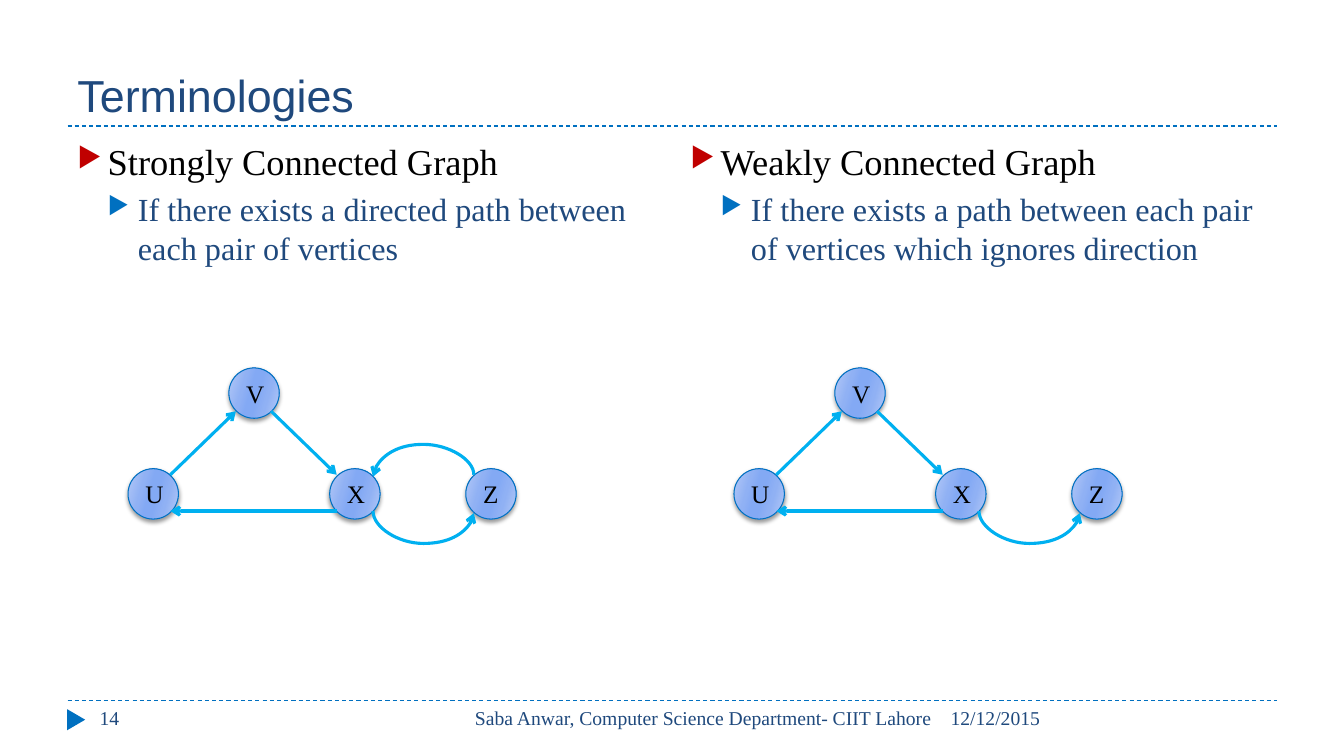
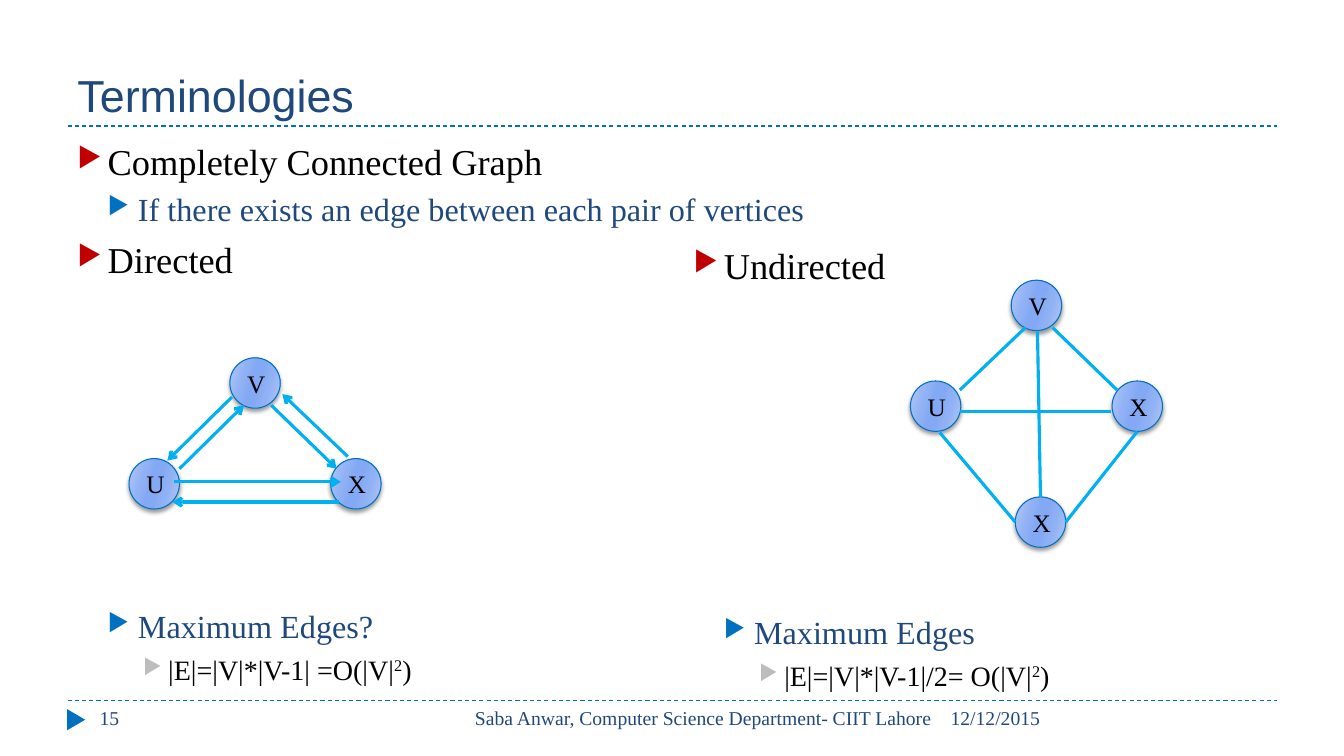
"""Two lecture slides on connected graphs, drawn with nodes and edges."""
from lxml.etree import SubElement
from pptx import Presentation
from pptx.dml.color import RGBColor
from pptx.enum.dml import MSO_LINE
from pptx.enum.shapes import MSO_CONNECTOR, MSO_SHAPE
from pptx.enum.text import MSO_ANCHOR, PP_ALIGN
from pptx.oxml.ns import qn
from pptx.util import Inches, Pt

NAVY = RGBColor(0x1F, 0x49, 0x7D)
BLUE = RGBColor(0x00, 0x70, 0xC0)
SKY = RGBColor(0x00, 0xB0, 0xF0)
RED = RGBColor(0xC0, 0x00, 0x00)
GRAY = RGBColor(0xBD, 0xBD, 0xBD)
BLACK = RGBColor(0, 0, 0)
SHINE = [(0, "B4C9F6"), (30, "90B1F4"), (45, "83A9F4"),
         (55, "83A9F4"), (73, "90B1F4"), (100, "B4C9F6")]
SERIF, SANS = "Times New Roman", "Arial"

LEVELS = [
    dict(size=26, color=BLACK, mark=RED, left=0.3, hang=0.3, before=6),
    dict(size=23, color=NAVY, mark=BLUE, left=0.6, hang=0.3, before=5),
    dict(size=20, color=BLACK, mark=GRAY, left=0.9, hang=0.25, before=5),
]

BASE = [("X", 2, 1), ("U", 0, 1), ("V", 1, 0)]
LOOP = [((0.42, 1.06), (1.07, 0.43)), ((2.07, 1.42), (0.42, 1.42)),
        ((1.42, 0.43), (2.07, 1.06))]
PAIRS = [((0.5, 1.1), (1.14, 0.47)), ((2.08, 1.43), (0.43, 1.43)),
         ((1.41, 0.47), (2.06, 1.1)), ((0.45, 1.23), (2.1, 1.23)),
         ((2.17, 0.98), (1.52, 0.36)), ((1.02, 0.39), (0.38, 1.02))]
MESH = [((1.14, 0.47), (0.49, 1.09)), ((1.99, 1.3), (0.49, 1.3)),
        ((1.41, 0.47), (2.05, 1.09)), ((1.04, 2.4), (0.29, 1.51)),
        ((1.54, 2.4), (2.25, 1.5)), ((1.29, 2.15), (1.26, 0.51))]
DOWN, UP = (2.43, 1.43, False), (2.43, 1.07, True)
TAIL = BASE + [("Z", 3.35, 1)]

SLIDES = [
    dict(number="14",
         bodies=[
             ((0.67, 1.33, 5.89, 5.4), [
                 (0, "Strongly Connected Graph"),
                 (1, "If there exists a directed path between each pair of vertices")]),
             ((6.75, 1.33, 5.89, 5.4), [
                 (0, "Weakly Connected Graph"),
                 (1, "If there exists a path between each pair of vertices "
                     "which ignores direction")])],
         graphs=[
             dict(at=(1.27, 3.65), nodes=TAIL, edges=LOOP, arcs=[DOWN, UP]),
             dict(at=(7.28, 3.65), nodes=TAIL, edges=LOOP, arcs=[DOWN])]),
    dict(number="15",
         bodies=[
             ((0.67, 1.33, 12, 1.6), [
                 (0, "Completely Connected Graph"),
                 (1, "If there exists an edge between each pair of vertices"),
                 (0, "Directed")]),
             ((0.67, 5.97, 5.89, 0.9), [
                 (1, "Maximum Edges?"), (2, "|E|=|V|*|V-1| =O(|V|^2^)")]),
             ((6.78, 2.36, 5.89, 0.6), [(0, "Undirected")]),
             ((6.78, 6.03, 5.89, 0.9), [
                 (1, "Maximum Edges"), (2, "|E|=|V|*|V-1|/2= O(|V|^2^)")])],
         graphs=[
             dict(at=(1.28, 3.55), nodes=BASE, edges=PAIRS),
             dict(at=(9.03, 2.78), nodes=BASE + [("X", 1.04, 2.15)],
                  edges=MESH, arrow=False)]),
]


def write(para, text, size=14, color=NAVY, font=SERIF, align=PP_ALIGN.LEFT,
          mark=None, left=0, hang=0, before=0):
    para.alignment = align
    para.space_before = Pt(before)
    if mark is not None:
        props = para._p.get_or_add_pPr()
        props.set("marL", str(Inches(left)))
        props.set("indent", str(-Inches(hang)))
        tint = SubElement(props, qn("a:buClr"))
        SubElement(tint, qn("a:srgbClr"), val=str(mark))
        SubElement(props, qn("a:buSzPct"), val="76000")
        SubElement(props, qn("a:buChar"), char="▶")
    for turn, part in enumerate(text.split("^")):
        run = para.add_run()
        run.text = part
        run.font.size = Pt(size)
        run.font.name = font
        run.font.color.rgb = color
        if turn % 2:
            run._r.get_or_add_rPr().set("baseline", "30000")


def box(slide, place, anchor=MSO_ANCHOR.TOP):
    frame = slide.shapes.add_textbox(*map(Inches, place)).text_frame
    frame.word_wrap = True
    frame.vertical_anchor = anchor
    return frame


def label(slide, place, text, anchor=MSO_ANCHOR.TOP, **style):
    write(box(slide, place, anchor).paragraphs[0], text, **style)


def body(slide, place, items):
    frame = box(slide, place)
    for index, (level, text) in enumerate(items):
        para = frame.add_paragraph() if index else frame.paragraphs[0]
        style = LEVELS[level] if index else {**LEVELS[level], "before": 0}
        write(para, text, **style)


def link(slide, start, end, color=SKY, width=2.25, kind=MSO_CONNECTOR.STRAIGHT, tip=None):
    line = slide.shapes.add_connector(kind, *map(Inches, (*start, *end)))
    line.line.color.rgb = color
    line.line.width = Pt(width)
    if tip:
        SubElement(line.line._get_or_add_ln(), qn(tip), type="arrow")
    SubElement(line._element.spPr, qn("a:effectLst"))
    return line


def arc(slide, x, y, up):
    mid, lean = x + 0.5, 0.5 if up else -0.5
    line = link(slide, (mid + 0.01, y + lean), (mid - 0.01, y - lean),
                kind=MSO_CONNECTOR.CURVE, tip="a:headEnd" if up else "a:tailEnd")
    shape = line._element.spPr
    shape.find(qn("a:xfrm")).set("rot", str((90 if up else 270) * 60000))
    guides = shape.find(qn("a:prstGeom")).find(qn("a:avLst"))
    SubElement(guides, qn("a:gd"), name="adj1", fmla="val 1600000")


def node(slide, name, x, y):
    disc = slide.shapes.add_shape(MSO_SHAPE.OVAL, *map(Inches, (x, y, 0.5, 0.5)))
    disc.fill.gradient()
    disc.fill.gradient_angle = 344
    stops = disc._element.spPr.find(".//" + qn("a:gsLst"))
    stops.clear()
    for spot, tone in SHINE:
        stop = SubElement(stops, qn("a:gs"), pos=str(spot * 1000))
        SubElement(stop, qn("a:srgbClr"), val=tone)
    disc.line.color.rgb = BLUE
    disc.line.width = Pt(0.75)
    disc.shadow.inherit = False
    glow = SubElement(disc._element.spPr.find(qn("a:effectLst")), qn("a:outerShdw"),
                      blurRad=str(Pt(3)), dist=str(Pt(2)), dir="5400000", rotWithShape="0")
    shade = SubElement(glow, qn("a:srgbClr"), val=str(BLACK))
    SubElement(shade, qn("a:alpha"), val="40000")
    frame = disc.text_frame
    frame.word_wrap = False
    frame.vertical_anchor = MSO_ANCHOR.MIDDLE
    write(frame.paragraphs[0], name, size=18, color=BLACK)


def graph(slide, at, nodes, edges, arcs=(), arrow=True):
    left, top = at
    for name, x, y in nodes:
        node(slide, name, left + x, top + y)
    for (ax, ay), (bx, by) in edges:
        link(slide, (left + ax, top + ay), (left + bx, top + by),
             tip="a:tailEnd" if arrow else None)
    for x, y, up in arcs:
        arc(slide, left + x, top + y, up)


def base(slide, number):
    for y in (6.95, 1.25):
        rule = link(slide, (0.67, y), (12.67, y), color=BLUE, width=0.75)
        rule.line.dash_style = MSO_LINE.DASH
    flag = slide.shapes.add_shape(MSO_SHAPE.ISOSCELES_TRIANGLE,
                                  *map(Inches, (0.65, 7.05, 0.21, 0.18)))
    flag.rotation = 90
    flag.fill.solid()
    flag.fill.fore_color.rgb = BLUE
    flag.line.fill.background()
    flag.shadow.inherit = False
    label(slide, (0.67, 0.25, 12, 1), "Terminologies",
          anchor=MSO_ANCHOR.BOTTOM, size=32, font=SANS)
    label(slide, (9.33, 6.95, 3.34, 0.4), "12/12/2015")
    label(slide, (4.23, 6.95, 5.11, 0.4),
          "Saba Anwar, Computer Science Department- CIIT Lahore", align=PP_ALIGN.RIGHT)
    label(slide, (0.89, 6.95, 2.89, 0.4), number)


def main():
    deck = Presentation()
    deck.slide_width, deck.slide_height = Inches(13.33), Inches(7.5)
    for page in SLIDES:
        slide = deck.slides.add_slide(deck.slide_layouts[6])
        base(slide, page["number"])
        for place, items in page["bodies"]:
            body(slide, place, items)
        for parts in page["graphs"]:
            graph(slide, **parts)
    deck.save("out.pptx")


if __name__ == "__main__":
    main()
